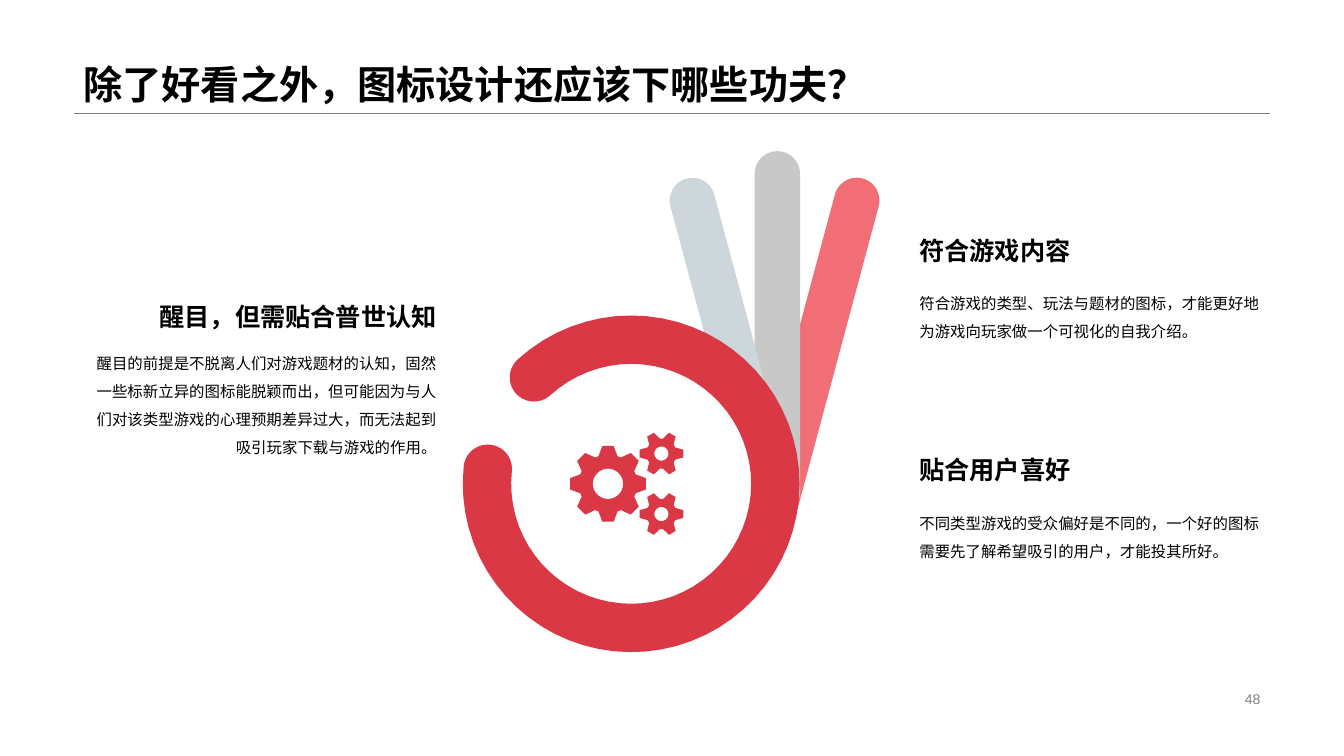
import math

from pptx import Presentation
from pptx import util as u
from pptx.dml.color import RGBColor
from pptx.enum import shapes, text
from pptx.oxml import ns
from lxml import etree

PX = 9144
BLACK = RGBColor(0x00, 0x00, 0x00)
GREY = RGBColor(0x80, 0x80, 0x80)
RED = RGBColor(0xD9, 0x38, 0x44)
PINK = RGBColor(0xF1, 0x6E, 0x77)
SILVER = RGBColor(0xC9, 0xC8, 0xC8)
MIST = RGBColor(0xCD, 0xD7, 0xDB)
LEFT, RIGHT = text.PP_ALIGN.LEFT, text.PP_ALIGN.RIGHT
MIDDLE, BOTTOM = text.MSO_ANCHOR.MIDDLE, text.MSO_ANCHOR.BOTTOM
HEADING_HEIGHT = 44


def add_text(page, box, words, size, bold=False, color=BLACK, align=LEFT,
             anchor=MIDDLE, spacing=1.0):
    """Place one paragraph of text in a box given in px."""
    frame = page.shapes.add_textbox(*(v * PX for v in box)).text_frame
    frame.word_wrap = True
    frame.vertical_anchor = anchor
    frame.text = words
    para = frame.paragraphs[0]
    para.alignment = align
    para.line_spacing = spacing
    font = para.runs[0].font
    font.name, font.size, font.bold = "Arial", u.Pt(size), bold
    font.color.rgb = color


def paint(shape, color):
    """Give a shape a flat fill with no line or shadow."""
    shape.shadow.inherit = False
    shape.fill.solid()
    shape.fill.fore_color.rgb = color
    shape.line.fill.background()


def polar(center, radius, degrees):
    """Return the EMU point at a radius and clockwise angle from a px center."""
    angle = math.radians(degrees)
    return (round((center[0] + radius * math.cos(angle)) * PX),
            round((center[1] + radius * math.sin(angle)) * PX))


def arc(center, radius, start, end, steps=60):
    """Return points along an arc."""
    return [polar(center, radius, start + (end - start) * i / steps)
            for i in range(steps + 1)]


def add_outline(page, contours, color):
    """Draw closed contours as one filled freeform."""
    builder = page.shapes.build_freeform(*contours[0][0], scale=1.0)
    for index, points in enumerate(contours):
        if index:
            builder.move_to(*points[0])
        builder.add_line_segments(points[1:], close=True)
    paint(builder.convert_to_shape(), color)


def add_header(page, box, title):
    """Draw the title and the rule beneath it."""
    left, top, width, height = box
    base = (top + height) * PX
    rule = page.shapes.add_connector(
        shapes.MSO_CONNECTOR.STRAIGHT, left * PX, base, (left + width) * PX, base)
    rule.line.color.rgb = GREY
    rule.line.width = u.Pt(0.25)
    etree.SubElement(rule._element.spPr, ns.qn("a:effectLst"))
    add_text(page, box, title, 28, bold=True, anchor=BOTTOM, spacing=0.9)


def add_point(page, box, heading, body, align):
    """Draw a heading with its explanation below."""
    left, top, width, height = box
    add_text(page, (left, top, width, HEADING_HEIGHT), heading, 18, bold=True,
             align=align, anchor=BOTTOM)
    add_text(page, (left, top + HEADING_HEIGHT, width, height - HEADING_HEIGHT),
             body, 11, align=align, spacing=1.5)


def add_finger(page, center, length, tilt, color):
    """Draw a round-ended bar tilted about its center."""
    width = 45
    finger = page.shapes.add_shape(
        shapes.MSO_SHAPE.ROUNDED_RECTANGLE,
        round((center[0] - width / 2) * PX), round((center[1] - length / 2) * PX),
        width * PX, length * PX)
    finger.adjustments[0] = 0.5
    finger.rotation = tilt
    paint(finger, color)


def add_ring(page, center, outer, inner, start, end):
    """Draw an open ring with rounded ends."""
    middle, cap = (outer + inner) / 2, (outer - inner) / 2
    head, tail = ([v / PX for v in polar(center, middle, angle)]
                  for angle in (start, end))
    points = (arc(center, outer, start, end)
              + arc(tail, cap, end, end + 180, 20)
              + arc(center, inner, end, start)
              + arc(head, cap, start + 180, start + 360, 20))
    add_outline(page, [points], RED)


def add_gear(page, center, teeth, radius, root, hole, tip_angle, root_angle):
    """Draw a toothed wheel with a round hole."""
    tooth = ((root, -root_angle), (radius, -tip_angle),
             (radius, tip_angle), (root, root_angle))
    rim = [polar(center, r, 360 * i / teeth + turn)
           for i in range(teeth) for r, turn in tooth]
    add_outline(page, [rim, arc(center, hole, 360, 0)], RED)


def add_hand(page, box):
    """Draw the hand emblem with its fingers, ring and gears."""
    left, top = box[:2]

    def at(x, y):
        return left + x, top + y

    add_finger(page, at(349, 207), 360, 15, PINK)
    add_finger(page, at(311, 186), 360, 0, SILVER)
    add_finger(page, at(253, 153), 248, -15, MIST)
    add_ring(page, at(166, 336), 167, 119, 227.6, 546)
    add_gear(page, at(143, 336), 8, 38, 29, 15, 8.5, 19)
    for y in (306, 366):
        add_gear(page, at(196, y), 6, 22, 15, 7, 10, 24)


def main():
    """Build the slide and save it."""
    deck = Presentation()
    deck.slide_width, deck.slide_height = 1333 * PX, 750 * PX
    page = deck.slides.add_slide(deck.slide_layouts[6])
    add_header(page, (73, 0, 1187, 112), "除了好看之外，图标设计还应该下哪些功夫？")
    add_hand(page, (460, 144, 420, 503))
    points = (
        ((85, 290, 358, 171), RIGHT, "醒目，但需贴合普世认知",
         "醒目的前提是不脱离人们对游戏题材的认知，固然一些标新立异的图标能脱颖而出，"
         "但可能因为与人们对该类型游戏的心理预期差异过大，而无法起到吸引玩家下载与游戏的作用。"),
        ((902, 224, 358, 129), LEFT, "符合游戏内容",
         "符合游戏的类型、玩法与题材的图标，才能更好地为游戏向玩家做一个可视化的自我介绍。"),
        ((902, 442, 358, 129), LEFT, "贴合用户喜好",
         "不同类型游戏的受众偏好是不同的，一个好的图标需要先了解希望吸引的用户，才能投其所好。"),
    )
    for box, align, heading, body in points:
        add_point(page, box, heading, body, align)
    add_text(page, (942, 682, 318, 23), "48", 10, color=GREY, align=RIGHT)
    deck.save("out.pptx")


if __name__ == "__main__":
    main()
